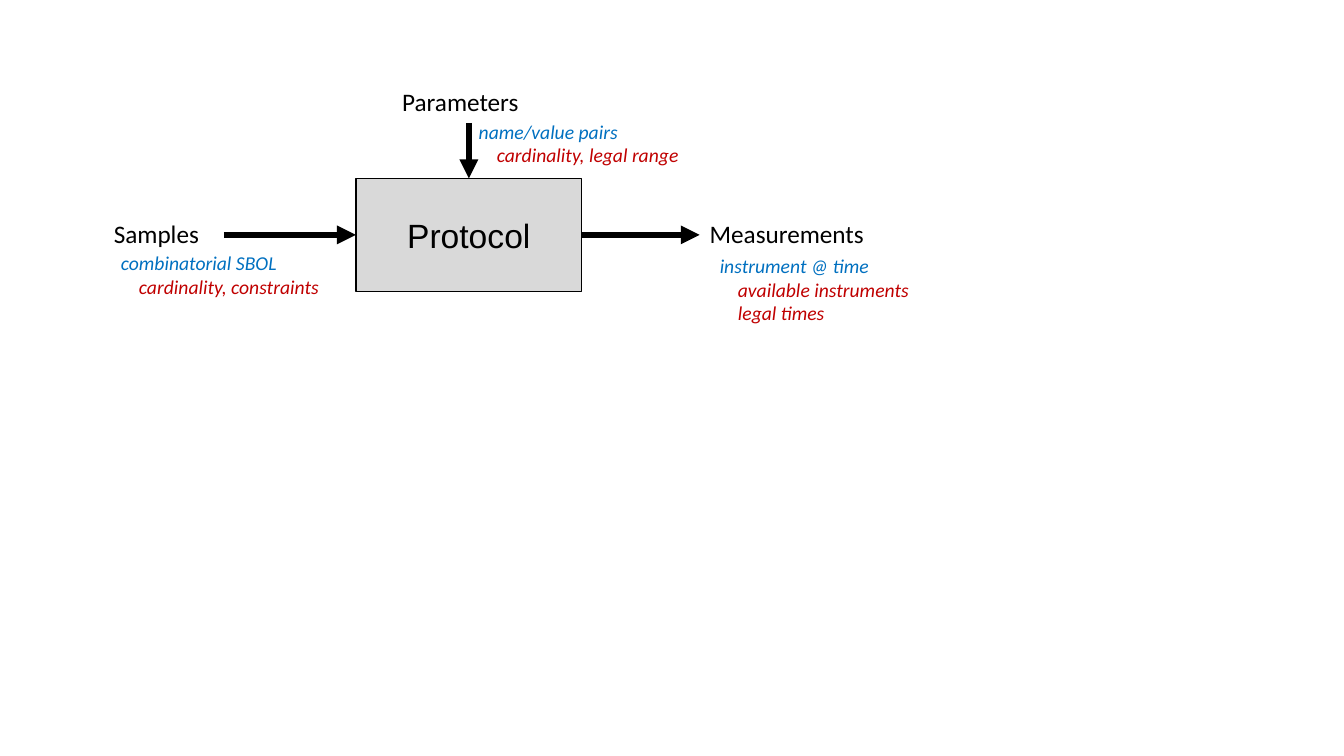
from dataclasses import dataclass

from lxml import etree
from pptx import Presentation
from pptx import util as u
from pptx.dml.color import RGBColor
from pptx.enum import shapes, text
from pptx.oxml.ns import qn

EMU_PER_PX = 9144  # 100 px to the inch
TOP, LEFT, RIGHT = 0, 1, 3  # connection sites of a rectangle


@dataclass(frozen=True)
class Theme:
    ink: RGBColor = RGBColor(0x00, 0x00, 0x00)
    box_fill: RGBColor = RGBColor(0xD9, 0xD9, 0xD9)
    format_color: RGBColor = RGBColor(0x00, 0x70, 0xC0)
    limit_color: RGBColor = RGBColor(0xC0, 0x00, 0x00)
    box_font: str = "Arial"
    label_font: str = "Calibri"
    box_size: int = 24
    label_size: int = 18
    note_size: int = 14
    box_line: float = 1
    arrow_line: float = 4.5
    limit_indent: int = 18


THEME = Theme()


def px(length):
    return u.Emu(length * EMU_PER_PX)


def style(paragraph, name, size, color, italic=False):
    font = paragraph.font
    font.name, font.size, font.italic = name, u.Pt(size), italic
    font.color.rgb = color


def add_text_box(slide, box):
    """Add an unwrapped text box that grows with its text."""
    frame = slide.shapes.add_textbox(*map(px, box)).text_frame
    frame.word_wrap = False
    frame.auto_size = text.MSO_AUTO_SIZE.SHAPE_TO_FIT_TEXT
    return frame


def add_label(slide, box, label):
    paragraph = add_text_box(slide, box).paragraphs[0]
    paragraph.text = label
    style(paragraph, THEME.label_font, THEME.label_size, THEME.ink)


def add_note(slide, box, data_format, limits):
    """Write the data format, with its limits indented below it."""
    frame = add_text_box(slide, box)
    frame.text = "\n".join([data_format, *limits])
    for index, paragraph in enumerate(frame.paragraphs):
        color = THEME.limit_color if index else THEME.format_color
        style(paragraph, THEME.label_font, THEME.note_size, color, italic=True)
        if index:
            paragraph._p.get_or_add_pPr().set("marL", str(px(THEME.limit_indent)))


def add_process(slide, box, label):
    shape = slide.shapes.add_shape(shapes.MSO_SHAPE.RECTANGLE, *map(px, box))
    shape.shadow.inherit = False
    shape.fill.solid()
    shape.fill.fore_color.rgb = THEME.box_fill
    shape.line.color.rgb = THEME.ink
    shape.line.width = u.Pt(THEME.box_line)
    frame = shape.text_frame
    frame.margin_left = frame.margin_right = frame.margin_top = frame.margin_bottom = 0
    frame.vertical_anchor = text.MSO_ANCHOR.MIDDLE
    paragraph = frame.paragraphs[0]
    paragraph.text = label
    paragraph.alignment = text.PP_ALIGN.CENTER
    style(paragraph, THEME.box_font, THEME.box_size, THEME.ink)
    return shape


def add_arrow(slide, start, end):
    arrow = slide.shapes.add_connector(
        shapes.MSO_CONNECTOR.STRAIGHT, *map(px, start), *map(px, end))
    arrow.line.color.rgb = THEME.ink
    arrow.line.width = u.Pt(THEME.arrow_line)
    etree.SubElement(arrow.line._get_or_add_ln(), qn("a:tailEnd"), type="triangle")
    etree.SubElement(arrow._element.spPr, qn("a:effectLst"))
    return arrow


def draw_protocol(slide, box):
    """Draw the process box with its inputs, output and notes around it."""
    left, top, width, height = box
    right, center, middle = left + width, left + width // 2, top + height // 2
    process = add_process(slide, box, "Protocol")

    # Samples enter from the left
    add_label(slide, (left - 250, middle - 21, 118, 40), "Samples")
    add_arrow(slide, (left - 131, middle), (left, middle)).end_connect(process, LEFT)
    add_note(slide, (left - 243, middle + 11, 219, 57),
             "combinatorial SBOL", ["cardinality, constraints"])

    # Parameters enter from above
    add_label(slide, (center - 76, top - 96, 151, 40), "Parameters")
    add_arrow(slide, (center, top - 55), (center, top)).end_connect(process, TOP)
    add_note(slide, (center, top - 63, 220, 57),
             "name/value pairs", ["cardinality, legal range"])

    # Measurements leave to the right
    add_label(slide, (right + 117, middle - 21, 187, 40), "Measurements")
    add_arrow(slide, (right, middle), (right + 117, middle)).begin_connect(process, RIGHT)
    add_note(slide, (right + 127, middle + 14, 209, 81),
             "instrument @ time", ["available instruments", "legal times"])


def main():
    presentation = Presentation()
    presentation.slide_width, presentation.slide_height = px(1333), px(750)
    blank_layout = presentation.slide_layouts[6]
    slide = presentation.slides.add_slide(blank_layout)
    draw_protocol(slide, (353, 177, 224, 112))
    presentation.save("out.pptx")


if __name__ == "__main__":
    main()
